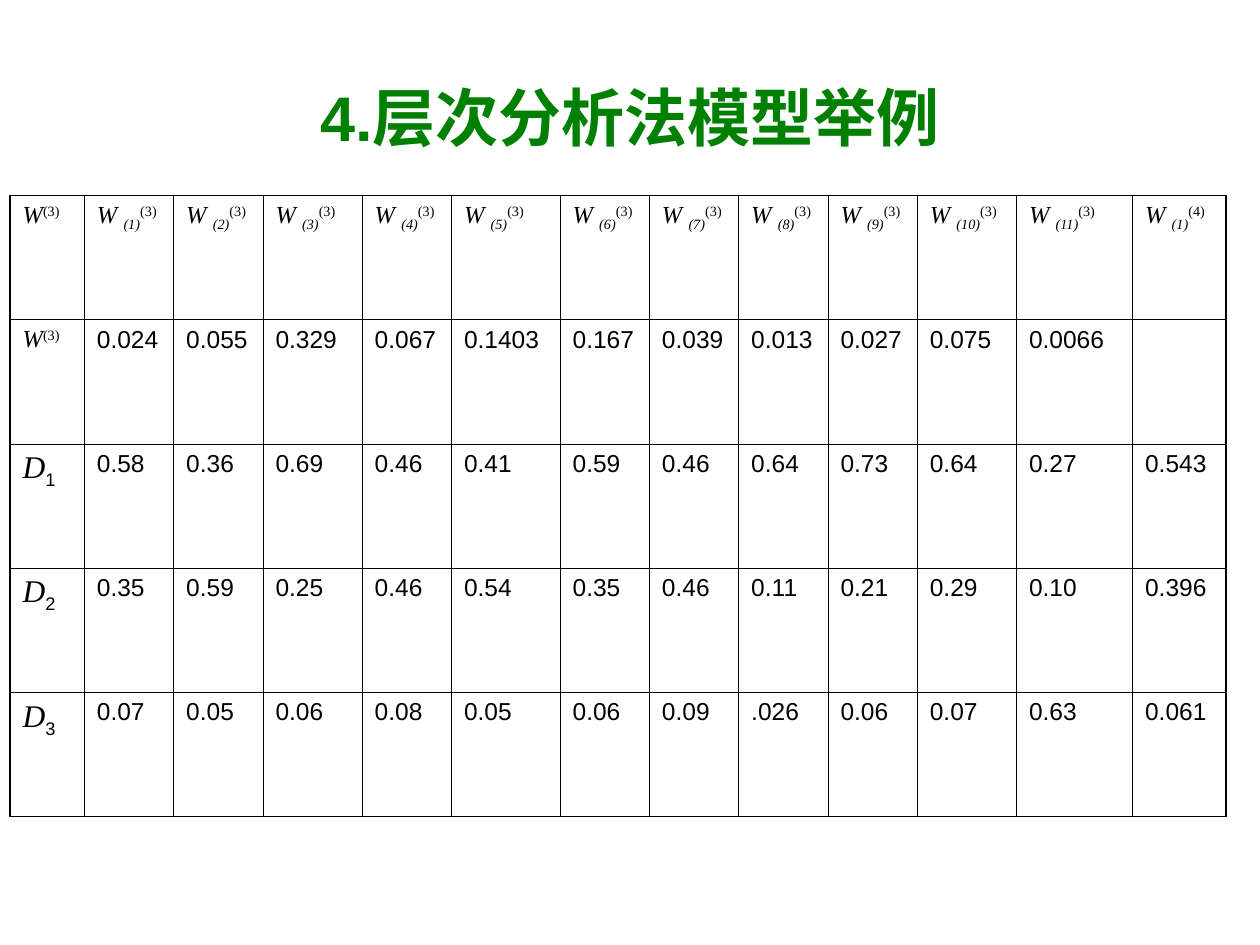
import pptx
import pptx.dml.color
import pptx.enum.text
import pptx.oxml.ns
import pptx.util
from lxml import etree

Cm = pptx.util.Cm
Pt = pptx.util.Pt

COLORS = {"title": "008000", "text": "000000", "border": "000000"}
SERIF, SANS = "Times New Roman", "Arial"
SUPERSCRIPT, SUBSCRIPT = "30000", "-25000"
THIN, THICK = Pt(0.45), Pt(1.08)

COLUMN_WIDTHS = [1.5, 1.8, 1.8, 2, 1.8, 2.19, 1.8, 1.8, 1.8, 1.8, 2, 2.34, 1.88]
WEIGHTS = ["0.024", "0.055", "0.329", "0.067", "0.1403", "0.167",
           "0.039", "0.013", "0.027", "0.075", "0.0066", ""]
SCORES = [
    ["0.58", "0.36", "0.69", "0.46", "0.41", "0.59",
     "0.46", "0.64", "0.73", "0.64", "0.27", "0.543"],
    ["0.35", "0.59", "0.25", "0.46", "0.54", "0.35",
     "0.46", "0.11", "0.21", "0.29", "0.10", "0.396"],
    ["0.07", "0.05", "0.06", "0.08", "0.05", "0.06",
     "0.09", ".026", "0.06", "0.07", "0.63", "0.061"],
]


def add_run(paragraph, text, color="text", baseline=None, **formats):
    run = paragraph.add_run()
    run.text = text
    for name, value in formats.items():
        setattr(run.font, name, value)
    run.font.color.rgb = pptx.dml.color.RGBColor.from_string(COLORS[color])
    if baseline:
        run._r.get_or_add_rPr().set("baseline", baseline)


def symbol(text, size=14):
    return text, dict(name=SERIF, size=Pt(size), italic=True)


def script(text, baseline, name=SERIF, size=14, italic=False):
    """A raised or lowered run, as (text, formats)."""
    return text, dict(name=name, size=Pt(size), italic=italic, baseline=baseline)


def number(text):
    return [(text, dict(name=SANS, size=Pt(14)))] if text else []


def table_rows():
    """The cells of every row, each a list of (text, formats) runs."""
    total = [symbol("W"), script("(3)", SUPERSCRIPT)]
    indices = [(i, 3) for i in range(1, 12)] + [(1, 4)]
    header = [[symbol("W "),
               script(f"({index})", SUBSCRIPT, italic=True),
               script(f"({level})", SUPERSCRIPT)] for index, level in indices]
    rows = [[total] + header, [total] + [number(w) for w in WEIGHTS]]
    for index, scores in enumerate(SCORES, start=1):
        label = [symbol("D", 18), script(str(index), SUBSCRIPT, SANS, 18)]
        rows.append([label] + [number(score) for score in scores])
    return rows


def set_borders(cell, widths):
    properties = cell._tc.get_or_add_tcPr()
    for side, width in widths.items():
        line = etree.SubElement(properties, pptx.oxml.ns.qn(f"a:ln{side}"), w=str(width))
        fill = etree.SubElement(line, pptx.oxml.ns.qn("a:solidFill"))
        etree.SubElement(fill, pptx.oxml.ns.qn("a:srgbClr"), val=COLORS["border"])


def add_title(slide, left, top, width, height):
    frame = slide.shapes.add_textbox(left, top, width, height).text_frame
    frame.word_wrap = True
    frame.vertical_anchor = pptx.enum.text.MSO_ANCHOR.MIDDLE
    paragraph = frame.paragraphs[0]
    paragraph.alignment = pptx.enum.text.PP_ALIGN.CENTER
    add_run(paragraph, "4.层次分析法模型举例", "title", name=SANS, size=Pt(36), bold=True)


def add_weight_table(slide, left, top, width, height):
    rows = table_rows()
    last_row, last_column = len(rows) - 1, len(COLUMN_WIDTHS) - 1
    table = slide.shapes.add_table(
        len(rows), len(COLUMN_WIDTHS), left, top, width, height).table
    table.first_row = table.horz_banding = False
    for column, share in zip(table.columns, COLUMN_WIDTHS):
        column.width = int(width * share / sum(COLUMN_WIDTHS))
    for r, row in enumerate(rows):
        for c, runs in enumerate(row):
            cell = table.cell(r, c)
            set_borders(cell, {
                "L": THICK if c == 0 else THIN,
                "R": THICK if c == last_column else THIN,
                "T": THICK if r == 0 else THIN,
                "B": THICK if r == last_row else THIN,
            })
            cell.fill.background()
            for text, formats in runs:
                add_run(cell.text_frame.paragraphs[0], text, **formats)


def main():
    presentation = pptx.Presentation()
    presentation.slide_width = Cm(25.4)
    presentation.slide_height = Cm(19.05)
    slide = presentation.slides.add_slide(presentation.slide_layouts[6])
    add_title(slide, Cm(1.27), Cm(0.76), Cm(22.86), Cm(3.18))
    add_weight_table(slide, Cm(0.2), Cm(3.94), Cm(24.51), Cm(12.52))
    presentation.save("out.pptx")


if __name__ == "__main__":
    main()
